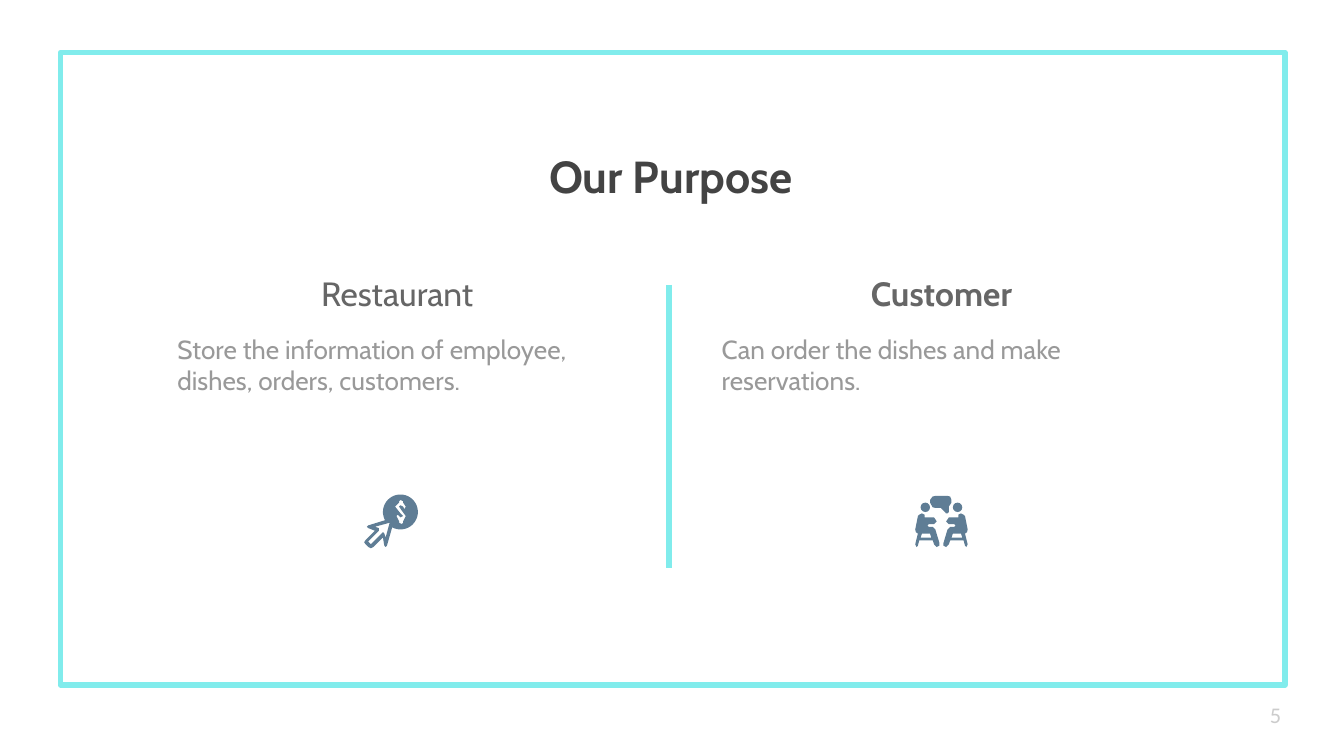
from math import cos, radians, sin

from lxml import etree
from pptx import Presentation
from pptx.dml.color import RGBColor
from pptx.enum.shapes import MSO_CONNECTOR, MSO_SHAPE
from pptx.enum.text import MSO_ANCHOR, MSO_AUTO_SIZE, PP_ALIGN
from pptx.oxml.ns import qn
from pptx.util import Pt

RECT, OVAL = MSO_SHAPE.RECTANGLE, MSO_SHAPE.OVAL
STRAIGHT = MSO_CONNECTOR.STRAIGHT
TOP, MIDDLE, BOTTOM = MSO_ANCHOR.TOP, MSO_ANCHOR.MIDDLE, MSO_ANCHOR.BOTTOM
LEFT, CENTER = PP_ALIGN.LEFT, PP_ALIGN.CENTER
NO_FIT = MSO_AUTO_SIZE.NONE

AQUA = RGBColor(0x81, 0xEC, 0xEC)
DARK = RGBColor(0x43, 0x43, 0x43)
GREY = RGBColor(0x66, 0x66, 0x66)
LIGHT = RGBColor(0x99, 0x99, 0x99)
PALE = RGBColor(0xCC, 0xCC, 0xCC)
SLATE = RGBColor(0x5F, 0x7D, 0x95)

UNIT = 0.72
COIN_ARC = [(27 + 13 * cos(radians(a)), 13 + 13 * sin(radians(a)))
            for a in range(119, -210, -8)]
CURSOR = [(16, 19), (3, 23), (2, 24), (3, 25), (8, 27), (1, 34), (0, 35.5),
          (1, 37), (3, 39), (5, 40), (7, 39), (14, 32), (15, 38), (16, 39),
          (17, 38), (21, 24)]
CURSOR_HOLE = [(19, 21), (16, 32), (15, 29), (14, 28), (13, 29), (5, 37),
               (3, 35), (11, 27), (11, 25), (8, 24)]
DOLLAR = [(27, 4), (29, 5), (29, 6), (31, 9), (30, 11), (29, 9), (27, 8),
          (26, 9), (28, 12), (31, 16), (29, 20), (29, 21), (28, 22), (26, 21),
          (26, 20), (24, 16), (25, 15), (26, 16), (27, 17), (29, 16), (27, 14),
          (23, 9), (26, 6), (26, 5)]
BUBBLE = [(15, 0), (13, 0.5), (11, 3), (11, 5), (13, 8.5), (15, 9), (19, 9),
          (23, 13), (24, 13), (25, 12), (25, 8), (27, 5), (27, 3), (26, 0.5),
          (24, 0)]
SITTER = [(5, 13), (3, 14), (2, 15), (0, 25), (0.5, 27), (2, 28), (0, 36),
          (1, 38), (2, 37), (3, 33), (13, 33), (14, 36), (16, 38), (18, 37),
          (18, 35), (15, 25), (13, 23), (10, 23), (9, 22), (10, 21), (14, 21),
          (16, 19), (14, 16), (7, 16), (7, 14)]
STOOL_GAP = [(11, 28), (12, 31), (4, 31), (5, 28)]
TABLE_WIDTH = 39


def place_text(sp, box, text, font, size, color, bold=False, align=LEFT, anchor=TOP):
    sp.left, sp.top, sp.width, sp.height = map(Pt, box)
    tf = sp.text_frame
    tf.text = text
    tf.word_wrap, tf.auto_size, tf.vertical_anchor = True, NO_FIT, anchor
    tf.margin_left = tf.margin_right = tf.margin_top = tf.margin_bottom = Pt(7.2)
    p = tf.paragraphs[0]
    p.alignment, p.space_before = align, Pt(0)
    p.font.name, p.font.size, p.font.bold = font, Pt(size), bold
    p.font.color.rgb = color
    pPr = p._p.get_or_add_pPr()
    pPr.set("marL", "0")
    pPr.set("indent", "0")
    bullet = etree.Element(qn("a:buNone"))
    pPr.find(qn("a:spcBef")).addnext(bullet)


def paint(sp):
    sp.shadow.inherit = False
    sp.fill.solid()
    sp.fill.fore_color.rgb = SLATE
    sp.line.fill.background()


def add_outline(s, x, y, *contours):
    rings = [[(Pt(x + UNIT * u), Pt(y + UNIT * v)) for u, v in c] for c in contours]
    builder = s.shapes.build_freeform(*rings[0][0])
    for i, ring in enumerate(rings):
        if i:
            builder.move_to(*ring[0])
        builder.add_line_segments(ring[1:], close=True)
    paint(builder.convert_to_shape())


def add_payment_icon(s, x, y):
    add_outline(s, x, y, CURSOR + COIN_ARC, CURSOR_HOLE, DOLLAR)


def add_diners_icon(s, x, y):
    def mirror(points):
        return [(TABLE_WIDTH - u, v) for u, v in points]

    add_outline(s, x, y, BUBBLE)
    add_outline(s, x, y, SITTER, STOOL_GAP)
    add_outline(s, x, y, mirror(SITTER), mirror(STOOL_GAP))
    head = 7
    for u in (4, TABLE_WIDTH - 4 - head):
        paint(s.shapes.add_shape(OVAL, Pt(x + UNIT * u), Pt(y + UNIT * 5),
                                 Pt(UNIT * head), Pt(UNIT * head)))


def add_frame(s, x, y, w, h):
    sp = s.shapes.add_shape(RECT, Pt(x), Pt(y), Pt(w), Pt(h))
    sp.shadow.inherit = False
    sp.fill.background()
    sp.line.color.rgb, sp.line.width = AQUA, Pt(3)


def add_divider(s, x, top, bottom):
    line = s.shapes.add_connector(STRAIGHT, Pt(x), Pt(top), Pt(x), Pt(bottom))
    line.line.color.rgb, line.line.width = AQUA, Pt(3)
    etree.SubElement(line._element.spPr, qn("a:effectLst"))


def add_column(heading_sp, body_sp, x, y, heading, body, bold):
    place_text(heading_sp, (x, y, 249.84, 51.12), heading, "Cabin", 18, GREY,
               bold, CENTER, BOTTOM)
    place_text(body_sp, (x, y + 47.52, 244.08, 167.04), body, "Cabin", 14, LIGHT)


def main():
    prs = Presentation()
    prs.slide_width, prs.slide_height = Pt(720), Pt(405)
    s = prs.slides.add_slide(prs.slide_layouts[4])
    title, heading_1, body_1, heading_2, body_2 = s.placeholders

    add_frame(s, 32.4, 28.08, 655.92, 338.9)
    place_text(title, (-0.72, 72.72, 720, 38.16), "Our Purpose", "Cabin", 24,
               DARK, True, CENTER)
    number = s.shapes.add_textbox(0, 0, 0, 0)
    place_text(number, (673.2, 367.2, 43.2, 30.96), "5", "Calibri", 12, PALE,
               anchor=MIDDLE)
    add_divider(s, 358.56, 152.64, 304.56)
    add_column(heading_1, body_1, 87.84, 123.84, "Restaurant",
               "Store the information of employee, dishes, orders, customers.", False)
    add_column(heading_2, body_2, 379.44, 123.84, "Customer",
               "Can order the dishes and make reservations.", True)
    add_payment_icon(s, 195.12, 264.96)
    add_diners_icon(s, 490.32, 265.68)

    prs.save("out.pptx")


if __name__ == "__main__":
    main()
